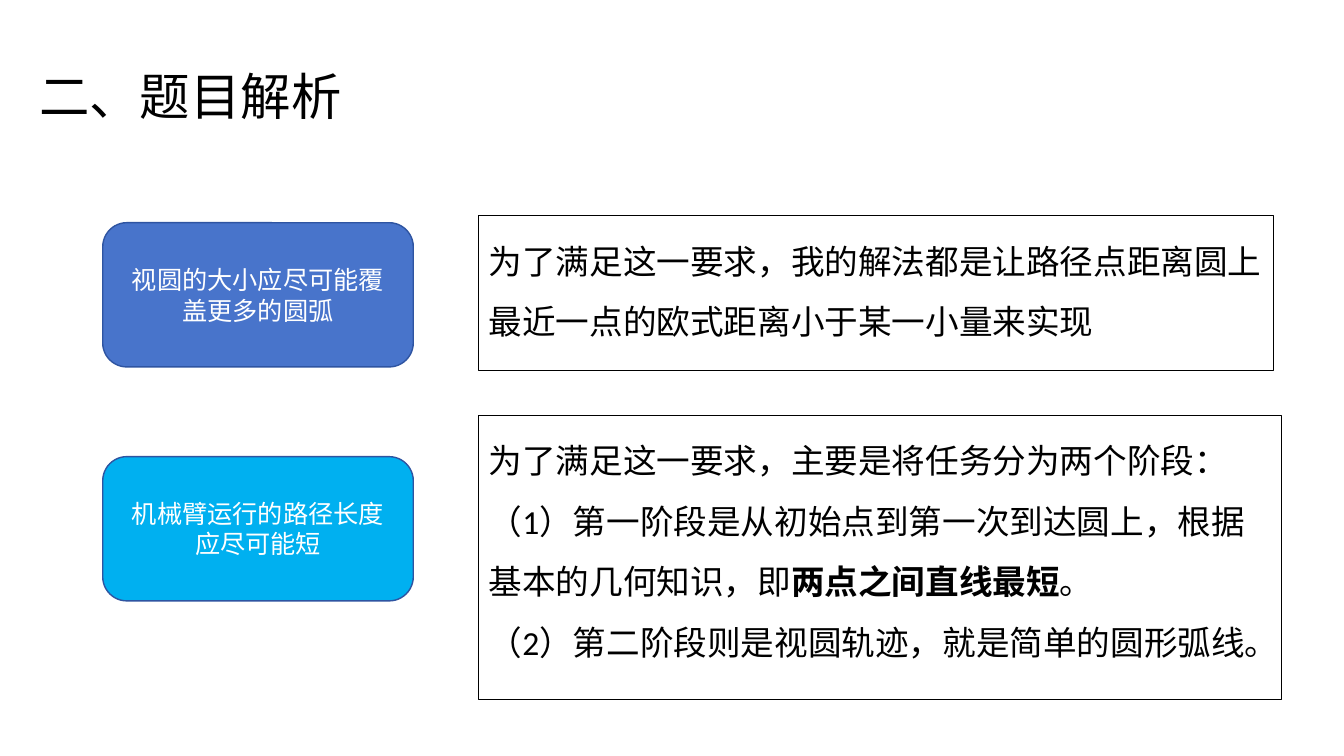
from pptx import Presentation
from pptx.dml.color import RGBColor
from pptx.enum.shapes import MSO_SHAPE
from pptx.enum.text import MSO_ANCHOR, PP_ALIGN
from pptx.util import Pt

BLACK = RGBColor(0x00, 0x00, 0x00)
WHITE = RGBColor(0xFF, 0xFF, 0xFF)
BLUE = RGBColor(0x48, 0x74, 0xCB)
CYAN = RGBColor(0x00, 0xB0, 0xF0)
EDGE = RGBColor(0x2E, 0x54, 0xA1)

CARD_LEFT, CARD_WIDTH, CARD_HEIGHT = 73.4, 221.8, 103
NOTE_LEFT = 342


class Board:
    font = "Calibri"

    def __init__(self, slide):
        self.slide = slide

    def label(self, shape, paras, size, color, anchor, align=PP_ALIGN.LEFT, spacing=1.0):
        """Fill a shape with paragraphs, each a list of runs; odd runs are bold."""
        frame = shape.text_frame
        frame.word_wrap = True
        frame.vertical_anchor = anchor
        for i, runs in enumerate(paras):
            para = frame.add_paragraph() if i else frame.paragraphs[0]
            para.alignment = align
            para.line_spacing = spacing
            para.font.name = self.font
            para.font.size = Pt(size)
            para.font.color.rgb = color
            for j, text in enumerate(runs):
                run = para.add_run()
                run.text = text
                if j % 2:
                    run.font.bold = True

    def shape(self, kind, left, top, width, height, fill, line, weight):
        shape = self.slide.shapes.add_shape(kind, Pt(left), Pt(top), Pt(width), Pt(height))
        shape.shadow.inherit = False
        if fill is None:
            shape.fill.background()
        else:
            shape.fill.solid()
            shape.fill.fore_color.rgb = fill
        shape.line.color.rgb = line
        shape.line.width = Pt(weight)
        return shape

    def title(self, text):
        box = self.slide.shapes.add_textbox(Pt(20.9), Pt(18.7), Pt(828), Pt(104.4))
        self.label(box, [[text]], 36, BLACK, MSO_ANCHOR.MIDDLE, spacing=0.9)

    def card(self, top, fill, text):
        card = self.shape(MSO_SHAPE.ROUNDED_RECTANGLE, CARD_LEFT, top,
                          CARD_WIDTH, CARD_HEIGHT, fill, EDGE, 1)
        self.label(card, [[text]], 18, WHITE, MSO_ANCHOR.MIDDLE, PP_ALIGN.CENTER)

    def note(self, top, width, height, paras):
        note = self.shape(MSO_SHAPE.RECTANGLE, NOTE_LEFT, top, width, height,
                          None, BLACK, 0.75)
        self.label(note, paras, 24, BLACK, MSO_ANCHOR.TOP, spacing=1.5)


def main():
    deck = Presentation()
    deck.slide_width, deck.slide_height = Pt(960), Pt(540)
    board = Board(deck.slides.add_slide(deck.slide_layouts[6]))

    board.title("二、题目解析")
    board.card(159.1, BLUE, "视圆的大小应尽可能覆盖更多的圆弧")
    board.note(154.1, 567.4, 110.9, [
        ["为了满足这一要求，我的解法都是让路径点距离圆上最近一点的欧式距离小于某一小量来实现"],
    ])
    board.card(326.2, CYAN, "机械臂运行的路径长度应尽可能短")
    board.note(296.6, 573.1, 203, [
        ["为了满足这一要求，主要是将任务分为两个阶段："],
        ["（1）第一阶段是从初始点到第一次到达圆上，根据基本的几何知识，即",
         "两点之间直线最短", "。"],
        ["（2）第二阶段则是视圆轨迹，就是简单的圆形弧线。"],
    ])
    deck.save("out.pptx")


if __name__ == "__main__":
    main()
